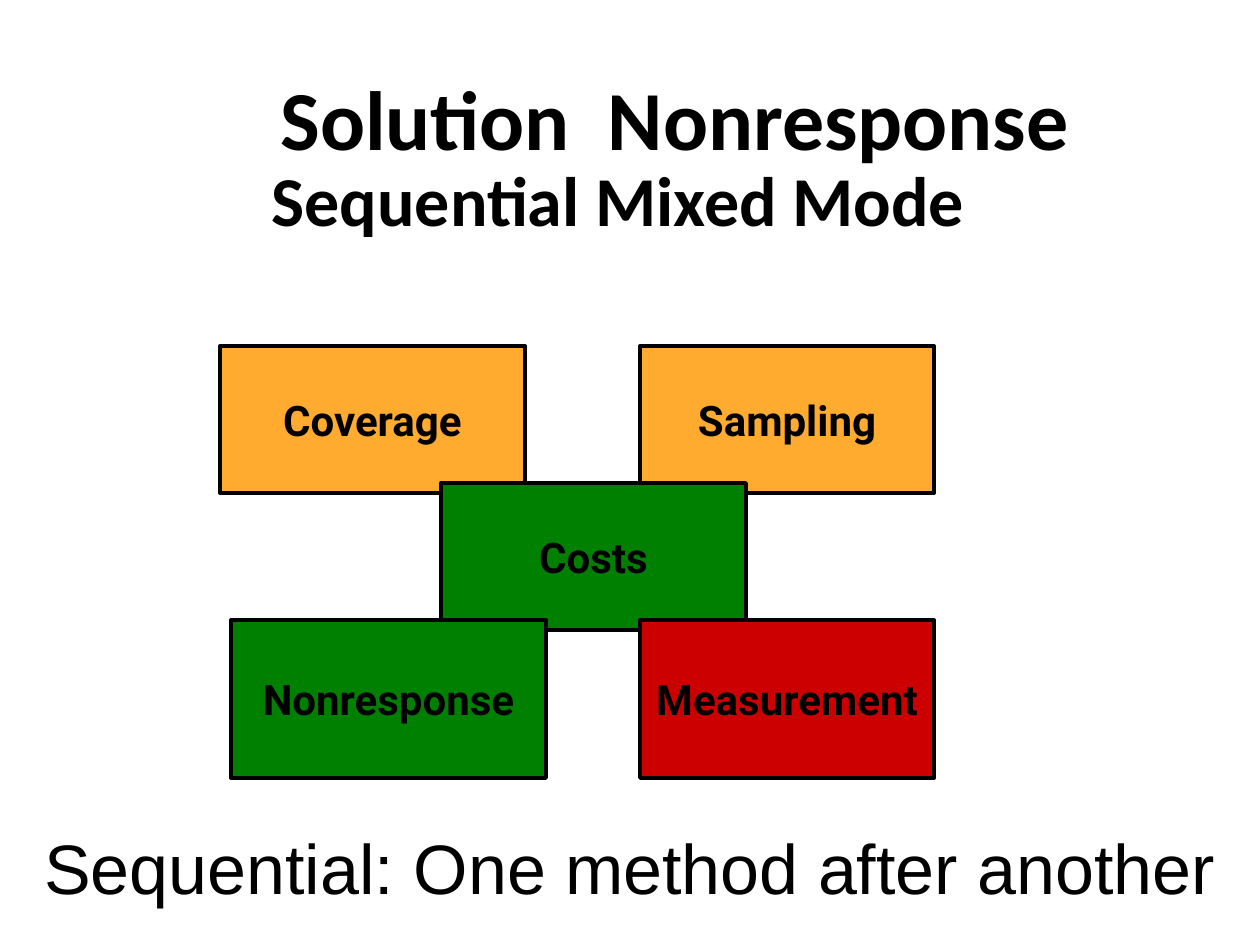
from dataclasses import dataclass

from pptx import Presentation
from pptx.dml.color import RGBColor
from pptx.enum.shapes import MSO_SHAPE
from pptx.enum.text import MSO_ANCHOR, MSO_AUTO_SIZE, PP_ALIGN
from pptx.util import Emu, Pt

PX_PER_INCH = 126
COLORS = {"black": "000000", "orange": "FFAB2F", "green": "008000", "red": "CC0000"}


@dataclass(frozen=True)
class ErrorSource:
    label: str
    left: int
    top: int
    width: int
    height: int
    color: str


@dataclass(frozen=True)
class Heading:
    wording: str
    points: int
    left_margin: int
    right_margin: int
    space_before: int


TOP_ROW, MIDDLE_ROW, BOTTOM_ROW = 346, 483, 620
RIGHT_COLUMN = 640
ERROR_SOURCES = [
    ErrorSource("Coverage", 220, TOP_ROW, 305, 147, "orange"),
    ErrorSource("Sampling", RIGHT_COLUMN, TOP_ROW, 294, 147, "orange"),
    ErrorSource("Costs", 441, MIDDLE_ROW, 305, 147, "green"),
    ErrorSource("Measurement", RIGHT_COLUMN, BOTTOM_ROW, 294, 158, "red"),
    ErrorSource("Nonresponse", 231, BOTTOM_ROW, 315, 158, "green"),
]
HEADINGS = [
    Heading("Solution  Nonresponse", 48, 38, 0, 0),
    Heading("Sequential Mixed Mode", 40, 0, 76, 4),
]


def px(length: int) -> Emu:
    return Emu(round(length * 914400 / PX_PER_INCH))


def rgb(name: str) -> RGBColor:
    return RGBColor.from_string(COLORS[name])


def style(paragraph, font_name: str, points: int, bold: bool) -> None:
    font = paragraph.font
    font.name, font.size, font.bold = font_name, Pt(points), bold
    font.color.rgb = rgb("black")


def add_title(slide) -> None:
    title = slide.shapes.add_textbox(px(168), px(32), px(976), px(262)).text_frame
    title.word_wrap = True
    title.vertical_anchor = MSO_ANCHOR.MIDDLE
    title.text = "\n".join(heading.wording for heading in HEADINGS)
    for paragraph, heading in zip(title.paragraphs, HEADINGS):
        paragraph.alignment = PP_ALIGN.CENTER
        paragraph.line_spacing = 0.8
        if heading.space_before:
            paragraph.space_before = Pt(heading.space_before)
        margins = paragraph._p.get_or_add_pPr()
        margins.set("marL", str(px(heading.left_margin)))
        margins.set("marR", str(px(heading.right_margin)))
        style(paragraph, "Calibri", heading.points, True)


def add_error_source(slide, source: ErrorSource) -> None:
    box = slide.shapes.add_shape(
        MSO_SHAPE.RECTANGLE,
        px(source.left), px(source.top), px(source.width), px(source.height),
    )
    box.shadow.inherit = False
    box.fill.solid()
    box.fill.fore_color.rgb = rgb(source.color)
    box.line.color.rgb = rgb("black")
    box.line.width = Pt(2.25)
    label = box.text_frame
    label.word_wrap = False
    label.vertical_anchor = MSO_ANCHOR.MIDDLE
    label.text = source.label
    label.paragraphs[0].alignment = PP_ALIGN.CENTER
    style(label.paragraphs[0], "Roboto", 24, True)


def add_explanation(slide) -> None:
    explanation = slide.shapes.add_textbox(px(32), px(818), px(1197), px(97)).text_frame
    explanation.word_wrap = False
    explanation.auto_size = MSO_AUTO_SIZE.SHAPE_TO_FIT_TEXT
    explanation.text = "Sequential: One method after another"
    style(explanation.paragraphs[0], "Arial", 40, False)


def main() -> None:
    presentation = Presentation()
    presentation.slide_width = px(1260)
    presentation.slide_height = px(945)
    slide = presentation.slides.add_slide(presentation.slide_layouts[6])
    add_title(slide)
    for source in ERROR_SOURCES:
        add_error_source(slide, source)
    add_explanation(slide)
    presentation.save("out.pptx")


if __name__ == "__main__":
    main()
